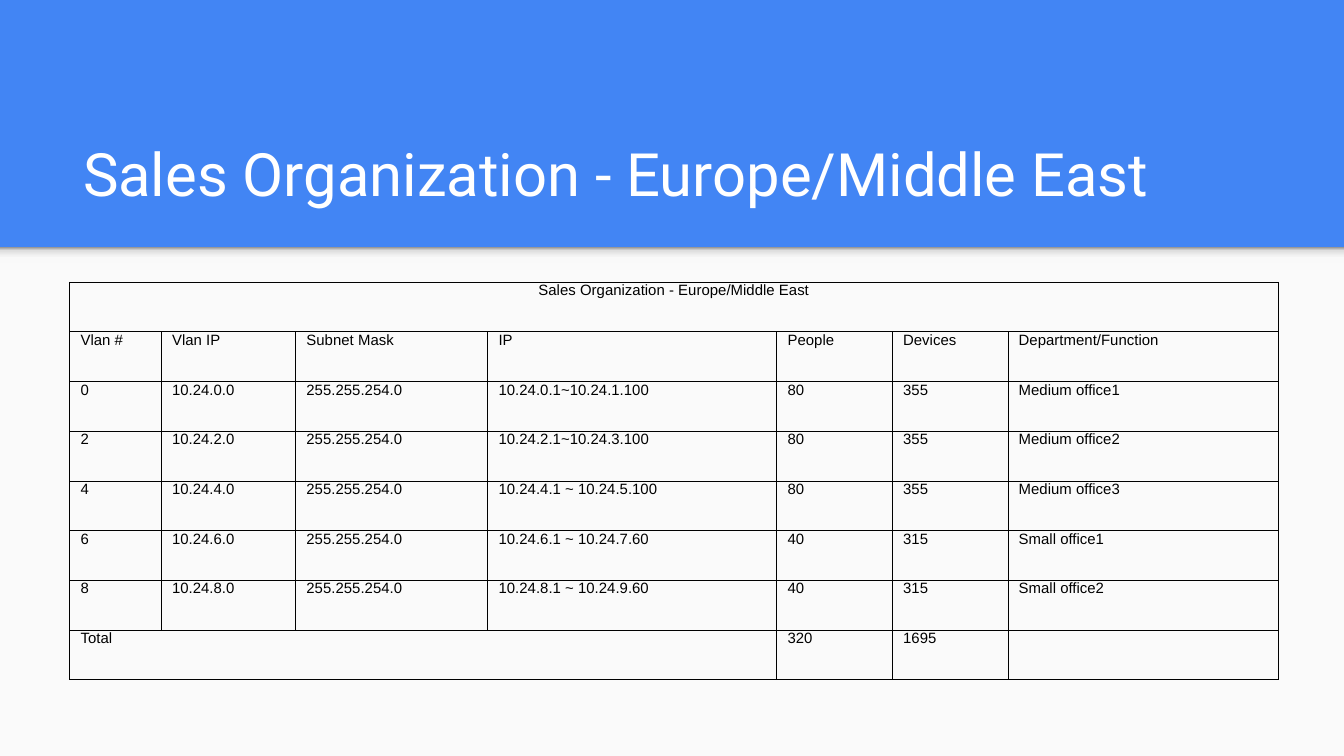
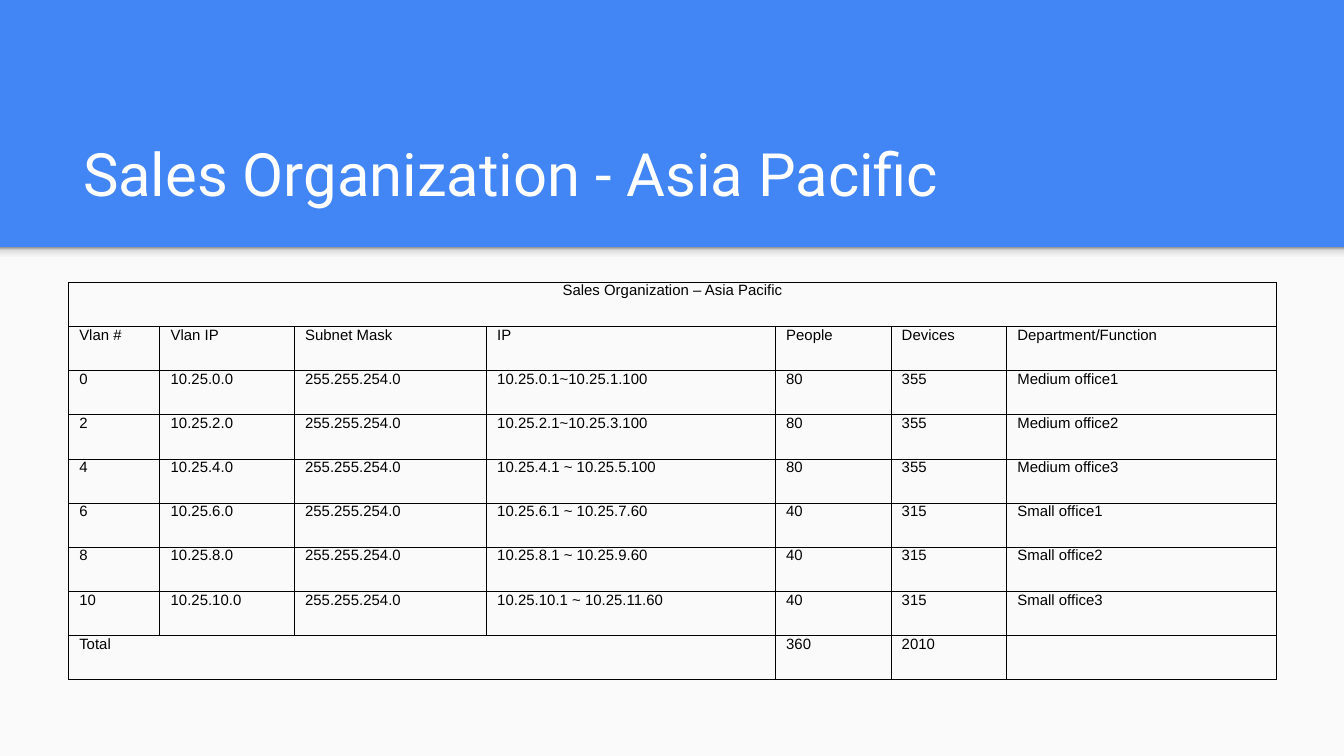
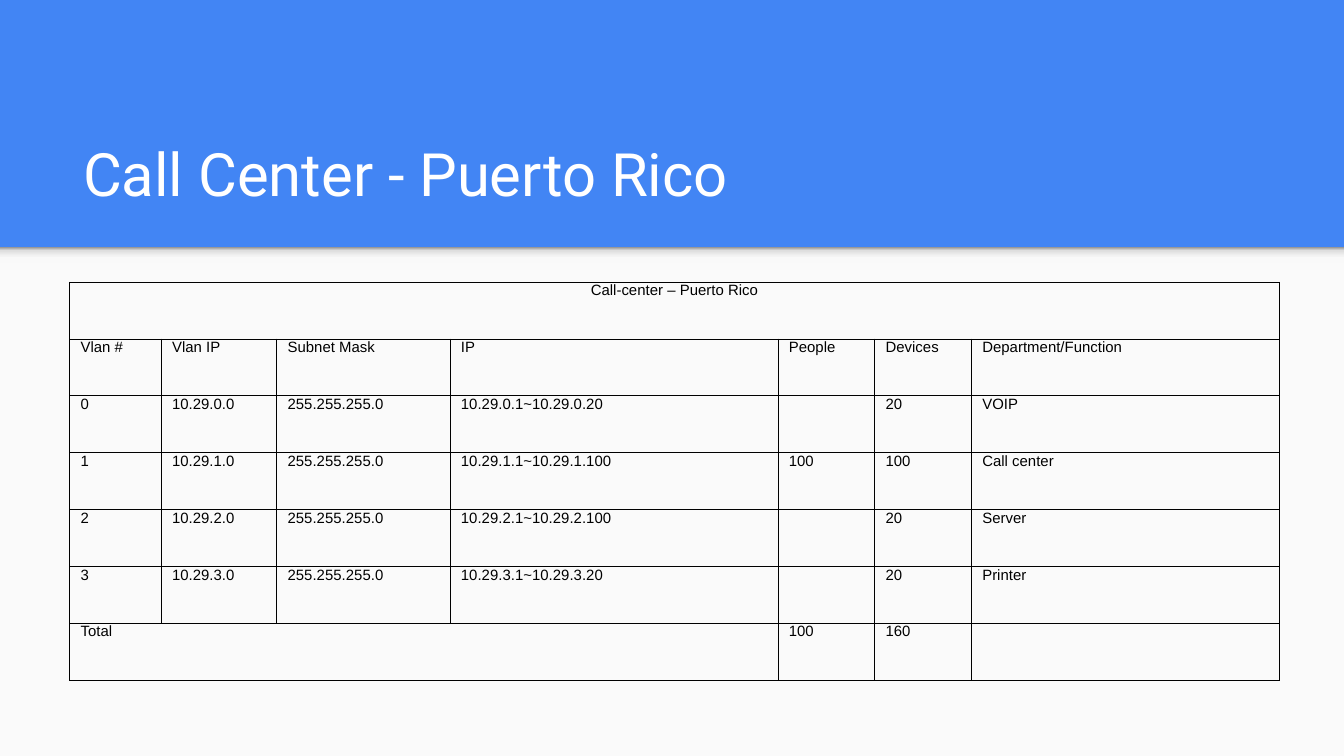
from lxml.etree import SubElement
from pptx import Presentation
from pptx.dml.color import RGBColor
from pptx.enum.shapes import MSO_SHAPE
from pptx.enum.text import MSO_ANCHOR, PP_ALIGN
from pptx.oxml.ns import qn
from pptx.util import Inches, Pt

# Shared look
COLORS = {"blue": "4285F4", "panel": "FAFAFA", "title": "FFFFFF", "ink": "000000"}
SHADOW_STOPS = [(0, "F9F9F9"), (36, "F9F9F9"), (80, "DEDEDE"), (100, "999999")]
TITLE_FONT, TABLE_FONT = "Roboto", "Arial"
SLIDE_WIDTH = 10
SLIDE_HEIGHT = SLIDE_WIDTH * 9 / 16
BAND_HEIGHT = 1.84
TABLE_TOP, TABLE_HEIGHT = 2.1, 2.96
TOTAL_SPAN = 4  # columns covered by the "Total" label

# Content
HEADERS = ["Vlan #", "Vlan IP", "Subnet Mask ", "IP", "People", "Devices",
           "Department/Function"]
SALES_COLUMNS = [0.68, 1, 1.43, 2.15, 0.86, 0.86, 2.01]
CALL_COLUMNS = [0.68, 0.86, 1.29, 2.44, 0.72, 0.72, 2.29]
SLIDES = [
    {
        "title": "Sales Organization - Europe/Middle East",
        "caption": "Sales Organization - Europe/Middle East",
        "left": 0.52, "columns": SALES_COLUMNS, "mask": "255.255.254.0",
        "rows": [
            ("0", "10.24.0.0", "10.24.0.1~10.24.1.100", "80", "355", "Medium office1"),
            ("2", "10.24.2.0", "10.24.2.1~10.24.3.100", "80", "355", "Medium office2"),
            ("4", "10.24.4.0", "10.24.4.1 ~ 10.24.5.100", "80", "355", "Medium office3"),
            ("6", "10.24.6.0", "10.24.6.1 ~ 10.24.7.60", "40", "315", "Small office1"),
            ("8", "10.24.8.0", "10.24.8.1 ~ 10.24.9.60", "40", "315", "Small office2"),
        ],
        "totals": ("320", "1695"),
    },
    {
        "title": "Sales Organization - Asia Pacific",
        "caption": "Sales Organization – Asia Pacific",
        "left": 0.51, "columns": SALES_COLUMNS, "mask": "255.255.254.0",
        "rows": [
            ("0", "10.25.0.0", "10.25.0.1~10.25.1.100", "80", "355", "Medium office1"),
            ("2", "10.25.2.0", "10.25.2.1~10.25.3.100", "80", "355", "Medium office2"),
            ("4", "10.25.4.0", "10.25.4.1 ~ 10.25.5.100", "80", "355", "Medium office3"),
            ("6", "10.25.6.0", "10.25.6.1 ~ 10.25.7.60", "40", "315", "Small office1"),
            ("8", "10.25.8.0", "10.25.8.1 ~ 10.25.9.60", "40", "315", "Small office2"),
            ("10", "10.25.10.0", "10.25.10.1 ~ 10.25.11.60", "40", "315", "Small office3"),
        ],
        "totals": ("360", "2010"),
    },
    {
        "title": "Call Center - Puerto Rico",
        "caption": "Call-center – Puerto Rico",
        "left": 0.52, "columns": CALL_COLUMNS, "mask": "255.255.255.0",
        "rows": [
            ("0", "10.29.0.0", "10.29.0.1~10.29.0.20", "", "20", "VOIP"),
            ("1", "10.29.1.0", "10.29.1.1~10.29.1.100", "100", "100", "Call center"),
            ("2", "10.29.2.0", "10.29.2.1~10.29.2.100", "", "20", "Server"),
            ("3", "10.29.3.0", "10.29.3.1~10.29.3.20", "", "20", "Printer"),
        ],
        "totals": ("100", "160"),
    },
]


def color(name):
    return RGBColor.from_string(COLORS[name])


def style_text(paragraph, font_name, size, color_name):
    for run in paragraph.runs:
        run.font.name = font_name
        run.font.size = Pt(size)
        run.font.color.rgb = color(color_name)


def add_rectangle(slide, top, height):
    shape = slide.shapes.add_shape(MSO_SHAPE.RECTANGLE, 0, Inches(top),
                                   Inches(SLIDE_WIDTH), Inches(height))
    shape.shadow.inherit = False
    shape.line.fill.background()
    return shape


def add_backdrop(slide):
    """Blue background, light lower panel and the soft shadow under the band."""
    background = slide.background.fill
    background.solid()
    background.fore_color.rgb = color("blue")

    panel = add_rectangle(slide, BAND_HEIGHT, SLIDE_HEIGHT - BAND_HEIGHT)
    panel.fill.solid()
    panel.fill.fore_color.rgb = color("panel")

    shadow = add_rectangle(slide, BAND_HEIGHT, 0.12)
    shadow.fill.gradient()
    shadow.fill.gradient_angle = 90
    stops = shadow.element.spPr.find(".//" + qn("a:gsLst"))
    for stop in list(stops):
        stops.remove(stop)
    for position, value in SHADOW_STOPS:
        stop = SubElement(stops, qn("a:gs"), pos=str(position * 1000))
        SubElement(stop, qn("a:srgbClr"), val=value)


def add_title(slide, text):
    box = slide.shapes.add_textbox(Inches(0.52), Inches(0.81), Inches(8.99), Inches(0.84))
    frame = box.text_frame
    frame.word_wrap = True
    frame.vertical_anchor = MSO_ANCHOR.BOTTOM
    frame.margin_left = frame.margin_right = Inches(0.1)
    frame.margin_top = frame.margin_bottom = Inches(0.1)
    frame.text = text
    style_text(frame.paragraphs[0], TITLE_FONT, 32, "title")


def style_cell(cell):
    cell.margin_left = cell.margin_right = Inches(0.08)
    cell.margin_top = cell.margin_bottom = 0
    properties = cell._tc.get_or_add_tcPr()
    for side in ("lnL", "lnR", "lnT", "lnB"):
        line = SubElement(properties, qn("a:" + side), w=str(Pt(0.5)))
        fill = SubElement(line, qn("a:solidFill"))
        SubElement(fill, qn("a:srgbClr"), val=COLORS["ink"])
    cell.fill.background()
    style_text(cell.text_frame.paragraphs[0], TABLE_FONT, 8, "ink")


def add_vlan_table(slide, content):
    columns = content["columns"]
    grid = [[content["caption"]], HEADERS]
    grid += [[number, address, content["mask"], *rest]
             for number, address, *rest in content["rows"]]
    grid.append(["Total"] + [""] * (TOTAL_SPAN - 1) + list(content["totals"]))

    table = slide.shapes.add_table(
        len(grid), len(columns), Inches(content["left"]), Inches(TABLE_TOP),
        Inches(sum(columns)), Inches(TABLE_HEIGHT)).table
    table.first_row = table.horz_banding = False
    for column, width in zip(table.columns, columns):
        column.width = Inches(width)
    for row, texts in zip(table.rows, grid):
        row.height = Inches(TABLE_HEIGHT / len(grid))
        for cell, text in zip(row.cells, texts):
            if text:
                cell.text_frame.text = text
        for cell in row.cells:
            style_cell(cell)

    # Caption spans the table, the total label spans the address columns
    last_row = len(grid) - 1
    table.cell(0, 0).merge(table.cell(0, len(columns) - 1))
    table.cell(last_row, 0).merge(table.cell(last_row, TOTAL_SPAN - 1))
    table.cell(0, 0).text_frame.paragraphs[0].alignment = PP_ALIGN.CENTER


presentation = Presentation()
presentation.slide_width = Inches(SLIDE_WIDTH)
presentation.slide_height = Inches(SLIDE_HEIGHT)
for content in SLIDES:
    slide = presentation.slides.add_slide(presentation.slide_layouts[6])
    add_backdrop(slide)
    add_title(slide, content["title"])
    add_vlan_table(slide, content)
presentation.save("out.pptx")
